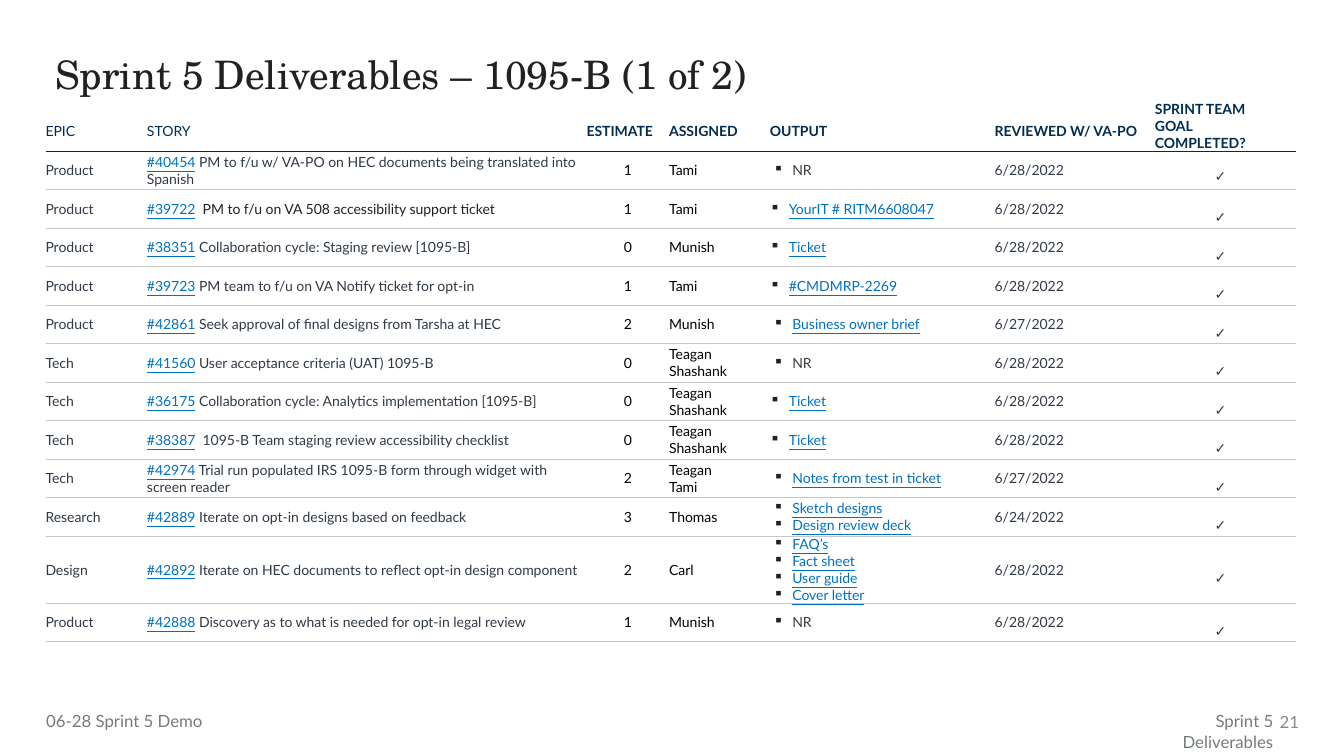
from dataclasses import dataclass
from typing import NamedTuple

from pptx import Presentation
from pptx.dml.color import RGBColor
from pptx.enum.text import MSO_ANCHOR, MSO_AUTO_SIZE, PP_ALIGN
from pptx.oxml.ns import qn
from pptx.util import Emu, Pt
from lxml.etree import SubElement

PX = 6350  # EMU per px on a 1920 x 1080 slide
COLORS = {
    "ink": "202120", "navy": "022D50", "slate": "303A46", "black": "000000",
    "link": "0071C0", "muted": "3A3E3A", "rule": "C7C7C7",
    "footer": "747C74", "number": "8A8A8A",
}
BODY_FONT, TITLE_FONT = "Lato", "TeX Gyre Schola"
NO_TABLE_STYLE = "{2D5ABB26-0587-4C30-8999-92F81FD0307C}"
LINE = 24  # height of one line of table text
BULLET_HANG = 27


class Insets(NamedTuple):
    left: int = 0
    top: int = 0
    right: int = 0
    bottom: int = 0


class Span(NamedTuple):
    text: str
    color: str
    size: float = 10
    bold: bool = False
    underline: bool = False
    font: str = BODY_FONT


class Heading(NamedTuple):
    text: str
    width: int
    bold: bool = True
    insets: Insets = Insets(top=14)
    anchor: MSO_ANCHOR = MSO_ANCHOR.MIDDLE


@dataclass
class Story:
    epic: str
    ticket: str
    summary: str
    estimate: int
    assigned: list[str]
    outputs: list[str]
    reviewed: str = "6/28/2022"
    indent: int = 32
    color: str = "slate"
    height: int = 55


class Label(NamedTuple):
    span: Span
    left: int
    top: int
    width: int
    height: int
    insets: Insets
    align: PP_ALIGN
    anchor: MSO_ANCHOR
    fit: MSO_AUTO_SIZE


HEADINGS = [
    Heading("EPIC", 145, bold=False),
    Heading("STORY", 628, bold=False),
    Heading("ESTIMATE", 118),
    Heading("ASSIGNED", 144),
    Heading("OUTPUT", 321),
    Heading("REVIEWED W/ VA-PO", 215),
    Heading("SPRINT TEAM GOAL COMPLETED?", 215, insets=Insets(14, 0, 14), anchor=MSO_ANCHOR.TOP),
]
STORIES = [
    Story("Product", "#40454", " PM to f/u w/ VA-PO on HEC documents being translated into Spanish",
          1, ["Tami"], ["NR"]),
    Story("Product", "#39722", "  PM to f/u on VA 508 accessibility support ticket",
          1, ["Tami"], ["YourIT # RITM6608047"], indent=27, color="ink"),
    Story("Product", "#38351", " Collaboration cycle: Staging review [1095-B]",
          0, ["Munish"], ["Ticket"], indent=27),
    Story("Product", "#39723", " PM team to f/u on VA Notify ticket for opt-in",
          1, ["Tami"], ["#CMDMRP-2269"], indent=27),
    Story("Product", "#42861", " Seek approval of final designs from Tarsha at HEC",
          2, ["Munish"], ["Business owner brief"], "6/27/2022"),
    Story("Tech", "#41560", " User acceptance criteria (UAT) 1095-B",
          0, ["Teagan Shashank"], ["NR"]),
    Story("Tech", "#36175", " Collaboration cycle: Analytics implementation [1095-B]",
          0, ["Teagan Shashank"], ["Ticket"], indent=27),
    Story("Tech", "#38387", "  1095-B Team staging review accessibility checklist",
          0, ["Teagan Shashank"], ["Ticket"], indent=27),
    Story("Tech", "#42974", " Trial run populated IRS 1095-B form through widget with screen reader",
          2, ["Teagan", "Tami"], ["Notes from test in ticket"], "6/27/2022"),
    Story("Research", "#42889", " Iterate on opt-in designs based on feedback",
          3, ["Thomas"], ["Sketch designs", "Design review deck"], "6/24/2022"),
    Story("Design", "#42892", " Iterate on HEC documents to reflect opt-in design component",
          2, ["Carl"], ["FAQ’s", "Fact sheet", "User guide", "Cover letter"], height=4 * LINE),
    Story("Product", "#42888", " Discovery as to what is needed for opt-in legal review",
          1, ["Munish"], ["NR"]),
]
LABELS = [
    Label(Span("21", "number", 12), 1807, 1002, 63, 58, Insets(14, 7, 14, 7),
          PP_ALIGN.RIGHT, MSO_ANCHOR.MIDDLE, MSO_AUTO_SIZE.NONE),
    Label(Span("Sprint 5 Deliverables", "footer", 12), 1597, 1009, 236, 43, Insets(14, 7, 14, 7),
          PP_ALIGN.RIGHT, MSO_ANCHOR.TOP, MSO_AUTO_SIZE.SHAPE_TO_FIT_TEXT),
    Label(Span("06-28 Sprint 5 Demo", "footer", 12), 66, 1009, 429, 43, Insets(0, 7, 14, 7),
          PP_ALIGN.LEFT, MSO_ANCHOR.TOP, MSO_AUTO_SIZE.SHAPE_TO_FIT_TEXT),
]


def px(length: int) -> Emu:
    return Emu(length * PX)


def set_insets(holder, insets: Insets) -> None:
    for side, length in insets._asdict().items():
        setattr(holder, f"margin_{side}", px(length))


def write(frame, lines: list[list[Span]], align: PP_ALIGN = PP_ALIGN.LEFT) -> None:
    for index, spans in enumerate(lines):
        para = frame.add_paragraph() if index else frame.paragraphs[0]
        para.alignment = align
        for span in spans:
            run = para.add_run()
            run.text = span.text
            formats = {"name": span.font, "size": Pt(span.size),
                       "bold": span.bold, "underline": span.underline}
            for name, value in formats.items():
                setattr(run.font, name, value)
            run.font.color.rgb = RGBColor.from_string(COLORS[span.color])


def add_bullets(frame, indent: int) -> None:
    for para in frame.paragraphs:
        props = para._p.get_or_add_pPr()
        props.set("marL", str(px(indent)))
        props.set("indent", str(px(-BULLET_HANG)))
        SubElement(SubElement(props, qn("a:buClr")), qn("a:srgbClr"), val=COLORS["ink"])
        SubElement(props, qn("a:buChar"), char="▪")


def add_border(cell, edge: str, color: str, width: float) -> None:
    line = SubElement(cell._tc.get_or_add_tcPr(), qn(f"a:{edge}"), w=str(Pt(width)))
    SubElement(SubElement(line, qn("a:solidFill")), qn("a:srgbClr"), val=COLORS[color])


def fill_cell(cell, lines: list[list[Span]], insets: Insets = Insets(),
              align: PP_ALIGN = PP_ALIGN.LEFT, anchor: MSO_ANCHOR = MSO_ANCHOR.MIDDLE) -> None:
    set_insets(cell, insets)
    cell.vertical_anchor = anchor
    write(cell.text_frame, lines, align)


def fill_story(cells: list, story: Story, first: bool) -> None:
    epic, summary, estimate, assigned, output, reviewed, completed = cells
    narrow = Insets(right=58)
    fill_cell(epic, [[Span(story.epic, "slate")]], narrow)
    fill_cell(summary, [[Span(story.ticket, "link", underline=True), Span(story.summary, story.color)]])
    fill_cell(estimate, [[Span(str(story.estimate), "black")]], align=PP_ALIGN.CENTER)
    fill_cell(assigned, [[Span(name, "black")] for name in story.assigned], narrow)
    fill_cell(output, [[Span(text, "muted") if text == "NR" else Span(text, "link", underline=True)]
                       for text in story.outputs])
    add_bullets(output.text_frame, story.indent)
    fill_cell(reviewed, [[Span(story.reviewed, "slate")]])
    fill_cell(completed, [[Span("✓", "slate")]], Insets(top=LINE), PP_ALIGN.CENTER,
              MSO_ANCHOR.TOP if first else MSO_ANCHOR.MIDDLE)


def add_story_table(slide) -> None:
    heights = [3 * LINE] + [story.height for story in STORIES]
    frame = slide.shapes.add_table(len(heights), len(HEADINGS), px(65), px(144),
                                   px(sum(heading.width for heading in HEADINGS)), px(sum(heights)))
    table = frame.table
    table.first_row = table.horz_banding = False
    table._tbl.tblPr.find(qn("a:tableStyleId")).text = NO_TABLE_STYLE
    for column, heading in zip(table.columns, HEADINGS):
        column.width = px(heading.width)

    # Rules between rows
    for index, (row, height) in enumerate(zip(table.rows, heights)):
        row.height = px(height)
        for cell in row.cells:
            if index:
                add_border(cell, "lnT", *(("ink", 1) if index == 1 else ("rule", 0.75)))
            add_border(cell, "lnB", *(("rule", 0.75) if index else ("ink", 1)))
            cell.fill.background()

    # Headings and stories
    for cell, heading in zip(table.rows[0].cells, HEADINGS):
        fill_cell(cell, [[Span(heading.text, "navy", bold=heading.bold)]],
                  heading.insets, anchor=heading.anchor)
    for index, story in enumerate(STORIES):
        fill_story(list(table.rows[index + 1].cells), story, index == 0)


def add_title(slide) -> None:
    title = slide.shapes.title
    for name, length in {"left": 65, "top": 72, "width": 1788, "height": 118}.items():
        setattr(title, name, px(length))
    frame = title.text_frame
    set_insets(frame, Insets(14, 7, 14, 7))
    frame.vertical_anchor = MSO_ANCHOR.TOP
    frame.auto_size = MSO_AUTO_SIZE.NONE
    write(frame, [[Span("Sprint 5 Deliverables – 1095-B (1 of 2)", "ink", 28, font=TITLE_FONT)]])
    frame.paragraphs[0].line_spacing = 0.9


def add_label(slide, label: Label) -> None:
    box = slide.shapes.add_textbox(px(label.left), px(label.top), px(label.width), px(label.height))
    frame = box.text_frame
    set_insets(frame, label.insets)
    for name, value in {"word_wrap": True, "vertical_anchor": label.anchor, "auto_size": label.fit}.items():
        setattr(frame, name, value)
    write(frame, [[label.span]], label.align)


def main() -> None:
    deck = Presentation()
    deck.slide_width, deck.slide_height = px(1920), px(1080)
    page = deck.slides.add_slide(deck.slide_layouts.get_by_name("Title Only"))
    add_title(page)
    add_story_table(page)
    for label in LABELS:
        add_label(page, label)
    deck.save("out.pptx")


if __name__ == "__main__":
    main()
